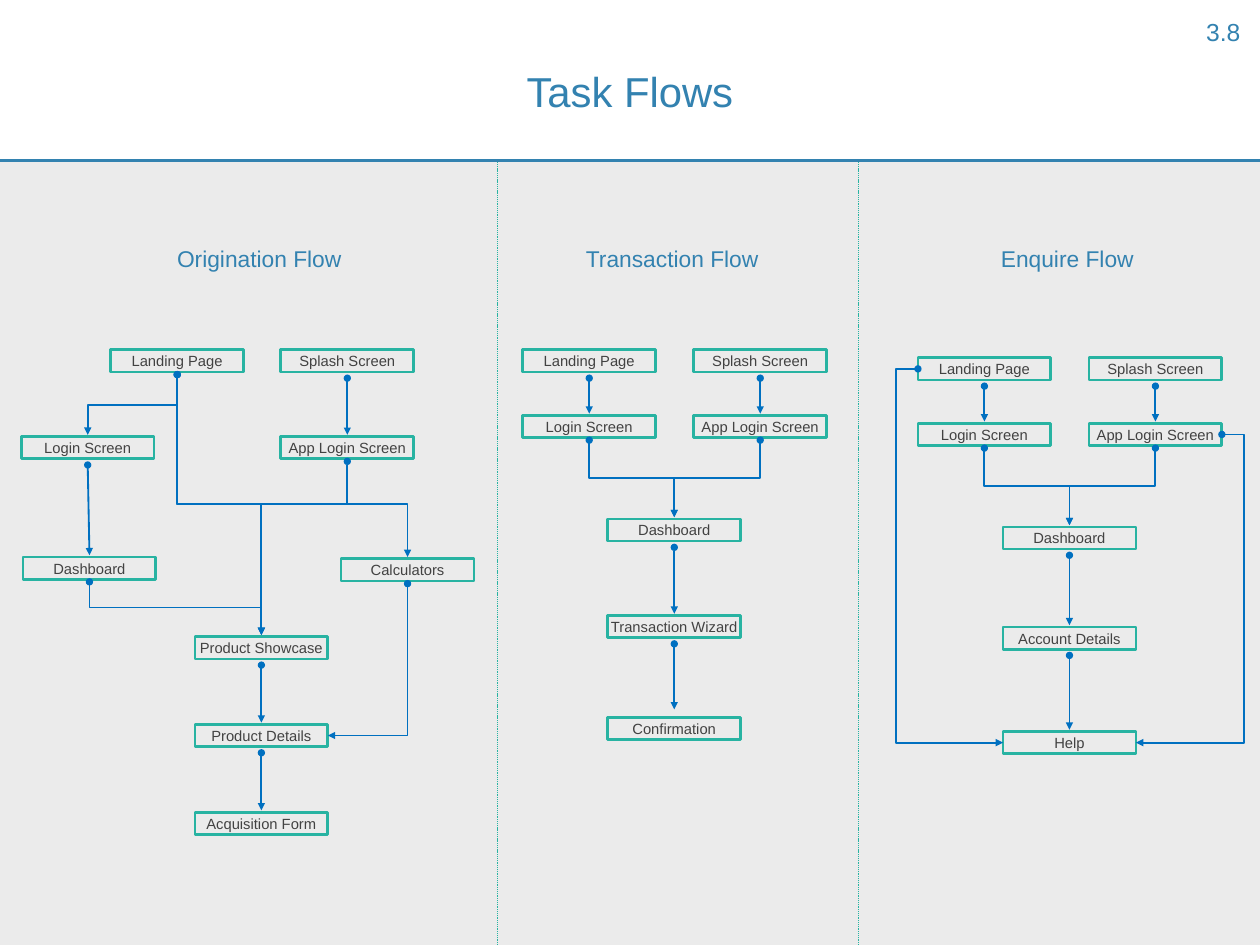
import dataclasses

import lxml.etree
import pptx
import pptx.dml.color
import pptx.enum.dml
import pptx.enum.shapes
import pptx.enum.text
import pptx.oxml.ns
import pptx.util

Inches = pptx.util.Inches
ALIGN = pptx.enum.text.PP_ALIGN
COLORS = {
    "panel": "EBEBEB",
    "heading": "3382B0",
    "step": "28B3A2",
    "label": "424242",
    "arrow": "0070C0",
}
STEP_WIDTH, STEP_HEIGHT = 1.5, 0.25
TIP_GAP, START_GAP, DOT_GAP = 0.02, 0.07, 0.03


@dataclasses.dataclass
class Box:
    left: float
    top: float
    width: float
    height: float

    @property
    def right(self):
        return self.left + self.width

    @property
    def bottom(self):
        return self.top + self.height

    @property
    def center(self):
        return self.left + self.width / 2

    @property
    def middle(self):
        return self.top + self.height / 2

    def emu(self):
        return [Inches(v) for v in (self.left, self.top, self.width, self.height)]


def rgb(name):
    return pptx.dml.color.RGBColor.from_string(COLORS[name])


def write(shape, text, size=12, color="label", align=ALIGN.CENTER, inset=0.0, wrap=True):
    frame = shape.text_frame
    frame.auto_size = pptx.enum.text.MSO_AUTO_SIZE.NONE
    frame.word_wrap = wrap
    frame.vertical_anchor = pptx.enum.text.MSO_ANCHOR.MIDDLE
    frame.margin_left = frame.margin_right = Inches(inset)
    frame.margin_top = frame.margin_bottom = Inches(inset)
    paragraph = frame.paragraphs[0]
    paragraph.alignment = align
    paragraph.space_before = pptx.util.Pt(0)
    run = paragraph.add_run()
    run.text = text
    run.font.name = "Arial"
    run.font.size = pptx.util.Pt(size)
    run.font.color.rgb = rgb(color)


def draw_line(slide, start, end, color, width):
    line = slide.shapes.add_connector(
        pptx.enum.shapes.MSO_CONNECTOR.STRAIGHT, *[Inches(v) for v in (*start, *end)])
    lxml.etree.SubElement(line._element.spPr, pptx.oxml.ns.qn("a:effectLst"))
    line.line.color.rgb = rgb(color)
    line.line.width = pptx.util.Pt(width)
    return line


def draw_arrow(slide, *points):
    if len(points) == 2:
        arrow = draw_line(slide, *points, "arrow", 1.5)
    else:
        corners = [(Inches(x), Inches(y)) for x, y in points]
        builder = slide.shapes.build_freeform(*corners[0])
        builder.add_line_segments(corners[1:], close=False)
        arrow = builder.convert_to_shape()
        arrow.shadow.inherit = False
        arrow.fill.background()
        arrow.line.color.rgb = rgb("arrow")
        arrow.line.width = pptx.util.Pt(1.5)
    outline = arrow.line._get_or_add_ln()
    for tag, kind in (("a:headEnd", "oval"), ("a:tailEnd", "triangle")):
        lxml.etree.SubElement(outline, pptx.oxml.ns.qn(tag), type=kind)


def draw_step(slide, label, left, top):
    box = Box(left, top, STEP_WIDTH, STEP_HEIGHT)
    step = slide.shapes.add_shape(pptx.enum.shapes.MSO_SHAPE.RECTANGLE, *box.emu())
    step.shadow.inherit = False
    step.fill.background()
    step.line.color.rgb = rgb("step")
    step.line.width = pptx.util.Pt(2.25)
    write(step, label)
    return box


def draw_heading(slide, text, panel, center):
    heading = slide.shapes.add_textbox(*Box(center - 1.36, panel.top + 0.88, 2.67, 0.44).emu())
    write(heading, text, size=18.5, color="heading", inset=0.05)


def connect_down(slide, upper, lower, tip_gap=TIP_GAP):
    draw_arrow(slide, (upper.center, upper.bottom + START_GAP), (lower.center, lower.top - tip_gap))


def connect_bent(slide, upper, lower, bend):
    draw_arrow(slide, (upper.center, upper.bottom + DOT_GAP), (upper.center, bend),
               (lower.center, bend), (lower.center, lower.top - TIP_GAP))


def draw_origination(slide, panel):
    def place(label, left, top):
        return draw_step(slide, label, panel.left + left, panel.top + top)

    landing = place("Landing Page", 1.25, 2.13)
    splash = place("Splash Screen", 3.17, 2.13)
    login = place("Login Screen", 0.24, 3.11)
    app_login = place("App Login Screen", 3.17, 3.11)
    dashboard = place("Dashboard", 0.26, 4.47)
    calculators = place("Calculators", 3.85, 4.49)
    showcase, details, form = [
        place(label, 2.2, 5.37 + 0.99 * row)
        for row, label in enumerate(("Product Showcase", "Product Details", "Acquisition Form"))]

    draw_heading(slide, "Origination Flow", panel, showcase.center)
    for upper, lower in ((splash, app_login), (login, dashboard),
                         (showcase, details), (details, form)):
        connect_down(slide, upper, lower)
    junction = panel.top + 3.87
    for upper, lower, bend in ((landing, login, panel.top + 2.75),
                               (landing, calculators, junction),
                               (landing, showcase, junction),
                               (app_login, showcase, junction),
                               (dashboard, showcase, panel.top + 5.04)):
        connect_bent(slide, upper, lower, bend)
    draw_arrow(slide, (calculators.center, calculators.bottom + DOT_GAP),
               (calculators.center, details.middle), (details.right, details.middle))


def draw_login_flow(slide, panel, heading, left, tops, endings, last_gap=TIP_GAP):
    first, second, *chain_tops = [panel.top + top for top in tops]
    left += panel.left
    landing = draw_step(slide, "Landing Page", left, first)
    splash = draw_step(slide, "Splash Screen", left + 1.93, first)
    login = draw_step(slide, "Login Screen", left, second)
    app_login = draw_step(slide, "App Login Screen", left + 1.93, second)
    dashboard, task, last = [
        draw_step(slide, label, left + 0.96, top)
        for label, top in zip(("Dashboard", *endings), chain_tops)]

    draw_heading(slide, heading, panel, dashboard.center)
    connect_down(slide, landing, login)
    connect_down(slide, splash, app_login)
    for screen in (login, app_login):
        connect_bent(slide, screen, dashboard, (screen.bottom + dashboard.top) / 2)
    connect_down(slide, dashboard, task)
    connect_down(slide, task, last, last_gap)
    return landing, app_login, last


def draw_transaction(slide, panel):
    draw_login_flow(slide, panel, "Transaction Flow", 0.29, (2.13, 2.87, 4.04, 5.13, 6.28),
                    ("Transaction Wizard", "Confirmation"), last_gap=0.09)


def draw_enquire(slide, panel):
    landing, app_login, help_step = draw_login_flow(
        slide, panel, "Enquire Flow", 0.67, (2.22, 2.96, 4.13, 5.26, 6.44),
        ("Account Details", "Help"))
    for start, source, side, end in (
            (landing.left, landing, landing.left - 0.25, help_step.left),
            (app_login.right, app_login, app_login.right + 0.25, help_step.right)):
        draw_arrow(slide, (start, source.middle), (side, source.middle),
                   (side, help_step.middle), (end, help_step.middle))


def draw_header(slide, box):
    title = slide.shapes.title
    title.left, title.top, title.width, title.height = Box(
        box.center - 4.5, box.top + 0.66, 9, 0.74).emu()
    write(title, "Task Flows", size=34, color="heading", inset=0.05)
    section = slide.shapes.add_textbox(*Box(box.right - 0.68, box.top + 0.13, 0.5, 0.45).emu())
    write(section, "3.8", size=20, color="heading", align=ALIGN.RIGHT, inset=0.04, wrap=False)
    draw_line(slide, (box.left, box.bottom), (box.right, box.bottom), "heading", 2)


def draw_backdrop(slide, box):
    backdrop = slide.shapes.add_shape(pptx.enum.shapes.MSO_SHAPE.RECTANGLE, *box.emu())
    backdrop.shadow.inherit = False
    backdrop.fill.solid()
    backdrop.fill.fore_color.rgb = rgb("panel")
    backdrop.line.fill.background()


def main():
    deck = pptx.Presentation()
    deck.slide_width, deck.slide_height = Inches(14.22), Inches(10.67)
    slide = deck.slides.add_slide(deck.slide_layouts[5])
    body = Box(0, 1.82, 14.22, 8.85)
    draw_backdrop(slide, body)
    draw_header(slide, Box(0, 0, 14.22, 1.81))
    edges = (0, 5.61, 9.69, 14.22)
    for draw_flow, left, right in zip(
            (draw_origination, draw_transaction, draw_enquire), edges, edges[1:]):
        draw_flow(slide, Box(left, body.top, right - left, body.height))
    for edge in edges[1:-1]:
        divider = draw_line(slide, (edge, body.bottom), (edge, body.top), "step", 0.25)
        divider.line.dash_style = pptx.enum.dml.MSO_LINE.DASH
    deck.save("out.pptx")


if __name__ == "__main__":
    main()
